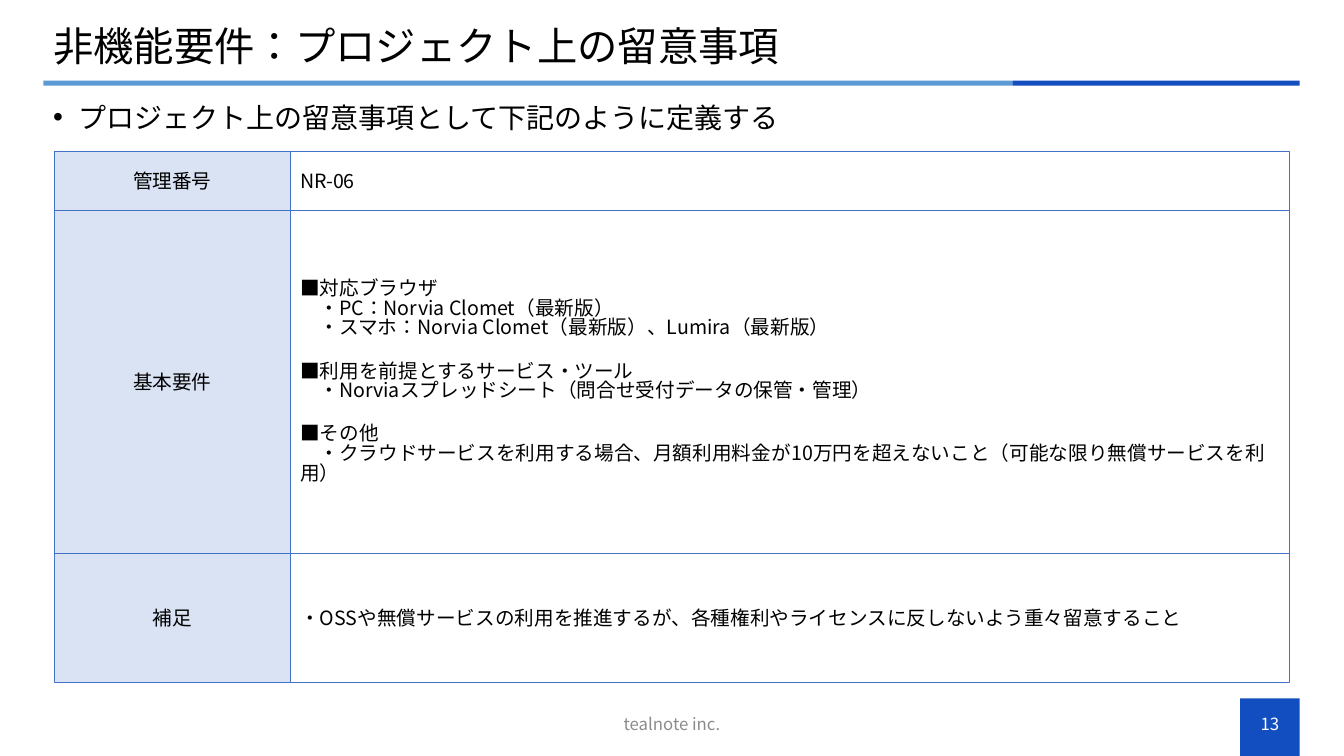
from itertools import accumulate
from lxml.etree import SubElement
from pptx import Presentation
from pptx.dml.color import RGBColor
from pptx.enum.shapes import MSO_SHAPE as SHAPE
from pptx.enum.text import MSO_ANCHOR as ANCHOR, PP_ALIGN as ALIGN
from pptx.oxml.ns import qn
from pptx.util import Inches, Pt

FONT = "Noto Sans CJK JP"
BLACK = RGBColor(0, 0, 0)
WHITE = RGBColor(0xFF, 0xFF, 0xFF)
GRAY = RGBColor(0x8C, 0x8C, 0x8C)
NAVY = RGBColor(0x13, 0x4E, 0xC1)
SKY = RGBColor(0x5B, 0x9B, 0xD5)
PALE = RGBColor(0xDA, 0xE3, 0xF3)
BORDER = RGBColor(0x44, 0x72, 0xC4)

WIDTH, HEIGHT = 13.33, 7.5
LEFT, RIGHT = 0.43, 12.89
BODY_W = RIGHT - LEFT
PAGE_W = 0.59
PAGE_X = RIGHT - PAGE_W
FOOTER_Y, FOOTER_H = 6.98, 0.4
GRID_X, GRID_Y = 0.54, 1.5
LABEL_W, DETAIL_W = 2.34, 9.91
ROWS = (0.59, 3.4, 1.28)

SECTIONS = (
    ("■対応ブラウザ", "・PC：Norvia Clomet（最新版）",
     "・スマホ：Norvia Clomet（最新版）、Lumira（最新版）"),
    ("■利用を前提とするサービス・ツール",
     "・Norviaスプレッドシート（問合せ受付データの保管・管理）"),
    ("■その他",
     "・クラウドサービスを利用する場合、月額利用料金が10万円を超えないこと"
     "（可能な限り無償サービスを利用）"),
)
REQUIREMENTS = (
    ("管理番号", (("NR-06",),)),
    ("基本要件", SECTIONS),
    ("補足", (("・OSSや無償サービスの利用を推進するが、"
              "各種権利やライセンスに反しないよう重々留意すること",),)),
)


def add_run(p, text, size, color=BLACK):
    r = p.add_run()
    r.text = text
    r.font.name = FONT
    r.font.size = Pt(size)
    r.font.color.rgb = color
    rPr = r._r.get_or_add_rPr()
    rPr.set("lang", "ja-JP")
    SubElement(rPr, qn("a:ea"), typeface=FONT)


def set_indent(p, margin, first):
    pPr = p._p.get_or_add_pPr()
    pPr.set("marL", str(Inches(margin)))
    pPr.set("indent", str(Inches(first)))
    return pPr


def add_rect(slide, box, color, border=None):
    sp = slide.shapes.add_shape(SHAPE.RECTANGLE, *map(Inches, box))
    sp.shadow.inherit = False
    sp.fill.solid()
    sp.fill.fore_color.rgb = color
    if border is None:
        sp.line.fill.background()
    else:
        sp.line.color.rgb = border
        sp.line.width = Pt(1)
    return sp


def add_text(slide, box, text, size, color=BLACK, align=ALIGN.LEFT, anchor=ANCHOR.MIDDLE):
    tf = slide.shapes.add_textbox(*map(Inches, box)).text_frame
    tf.word_wrap = True
    tf.vertical_anchor = anchor
    p = tf.paragraphs[0]
    p.alignment = align
    add_run(p, text, size, color)
    return p


def add_bullet_line(slide, box, text):
    p = add_text(slide, box, text, 20, anchor=ANCHOR.TOP)
    p.line_spacing = 1.2
    pPr = set_indent(p, 0.25, -0.25)
    SubElement(pPr, qn("a:buFont"), typeface="Arial")
    SubElement(pPr, qn("a:buChar"), char="•")


def add_cell(slide, box, color, sections, align):
    """Draw a bordered cell; each section is a heading with indented items."""
    tf = add_rect(slide, box, color, BORDER).text_frame
    tf.word_wrap = True
    tf.vertical_anchor = ANCHOR.MIDDLE
    p = tf.paragraphs[0]
    for s, lines in enumerate(sections):
        for i, line in enumerate(lines):
            if s or i:
                p = tf.add_paragraph()
            p.alignment = align
            if len(sections) > 1:
                p.line_spacing = 0.83
            if s and not i:
                p.space_before = Pt(17)
            if i:
                set_indent(p, 0, 0.19)
            add_run(p, line, 14)


def add_requirements(slide):
    tops = accumulate(ROWS, initial=GRID_Y)
    for y, h, (label, sections) in zip(tops, ROWS, REQUIREMENTS):
        add_cell(slide, (GRID_X, y, LABEL_W, h), PALE, ((label,),), ALIGN.CENTER)
        add_cell(slide, (GRID_X + LABEL_W, y, DETAIL_W, h), WHITE, sections, ALIGN.LEFT)


def main():
    prs = Presentation()
    prs.slide_width, prs.slide_height = Inches(WIDTH), Inches(HEIGHT)
    slide = prs.slides.add_slide(prs.slide_layouts[6])

    add_rect(slide, (PAGE_X, 6.93, PAGE_W, HEIGHT - 6.93), NAVY)
    add_rect(slide, (LEFT, 0.8, 9.61, 0.05), SKY)
    add_rect(slide, (LEFT + 9.61, 0.8, BODY_W - 9.61, 0.05), NAVY)
    title = add_text(slide, (LEFT, 0.21, BODY_W, 0.55), "非機能要件：プロジェクト上の留意事項", 28.8)
    title.line_spacing = 0.9
    add_text(slide, ((WIDTH - 4.5) / 2, FOOTER_Y, 4.5, FOOTER_H), "tealnote inc.", 12,
             GRAY, ALIGN.CENTER)
    add_text(slide, (PAGE_X, FOOTER_Y, PAGE_W, FOOTER_H), "13", 12, WHITE, ALIGN.CENTER)
    add_bullet_line(slide, (LEFT, 0.88, BODY_W, 0.55),
                    "プロジェクト上の留意事項として下記のように定義する")
    add_requirements(slide)
    prs.save("out.pptx")


if __name__ == "__main__":
    main()
